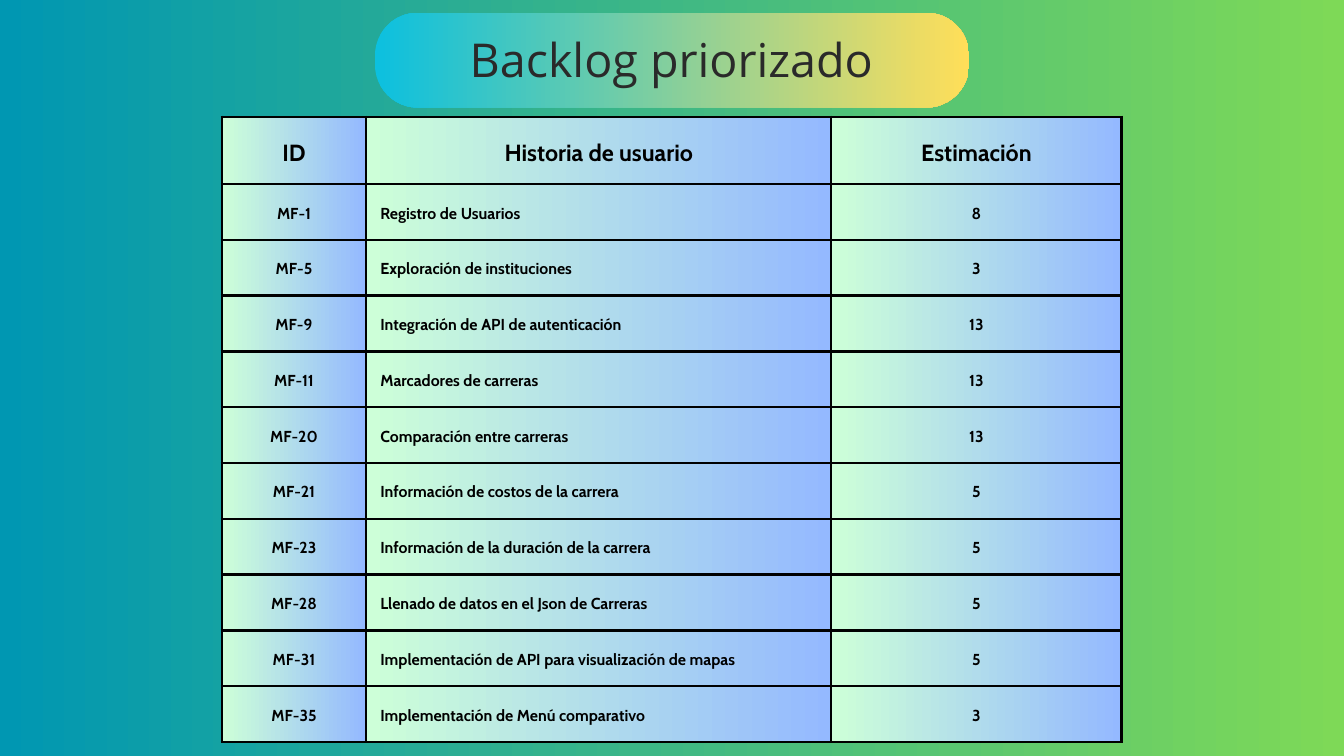
from dataclasses import dataclass

from lxml import etree
from pptx import Presentation
from pptx import util as u
from pptx.dml.color import RGBColor
from pptx.enum import shapes, text
from pptx.oxml import ns


@dataclass(frozen=True)
class Theme:
    background: tuple = ("0097B2", "7ED957")
    banner: tuple = ("0CC0DF", "FFDE59")
    cell: tuple = ("CDFFD8", "94B9FF")
    border: str = "000000"
    title_color: str = "2A2A2A"
    table_color: str = "000000"
    title_font: str = "Open Sans"
    table_font: str = "Cabin"
    title_size: float = 50
    header_size: float = 25
    body_size: float = 17
    border_width: float = 3


theme = Theme()


def fill_gradient(fill, colors):
    """Fill from left to right between two colours."""
    fill.gradient()
    fill.gradient_angle = 0
    for stop, color in zip(fill.gradient_stops, colors):
        stop.color.rgb = RGBColor.from_string(color)


def format_paragraph(paragraph, font, size, color, spacing, alignment, bold):
    paragraph.alignment = alignment
    paragraph.line_spacing = u.Pt(size * spacing)
    for run in paragraph.runs:
        run.font.name = font
        run.font.size = u.Pt(size)
        run.font.bold = bold
        run.font.color.rgb = RGBColor.from_string(color)


presentation = Presentation()
presentation.slide_width = u.Inches(20)
presentation.slide_height = u.Inches(11.25)
slide = presentation.slides.add_slide(presentation.slide_layouts[5])
fill_gradient(slide.background.fill, theme.background)

# Backlog table
backlog = [
    ("ID", "Historia de usuario", "Estimación"),
    ("MF-1", "Registro de Usuarios", "8"),
    ("MF-5", "Exploración de instituciones", "3"),
    ("MF-9", "Integración de API de autenticación", "13"),
    ("MF-11", "Marcadores de carreras", "13"),
    ("MF-20", "Comparación entre carreras", "13"),
    ("MF-21", "Información de costos de la carrera", "5"),
    ("MF-23", "Información de la duración de la carrera", "5"),
    ("MF-28", "Llenado de datos en el Json de Carreras", "5"),
    ("MF-31", "Implementación de API para visualización de mapas", "5"),
    ("MF-35", "Implementación de Menú comparativo", "3"),
]
column_widths = [2.15, 6.92, 4.32]
header_height, row_height = 1, 0.83
table_height = header_height + row_height * (len(backlog) - 1)
table = slide.shapes.add_table(
    len(backlog), len(column_widths), u.Inches(3.3), u.Inches(1.74),
    u.Inches(sum(column_widths)), u.Inches(table_height),
).table
table.first_row = False
table.horz_banding = False
for column, width in zip(table.columns, column_widths):
    column.width = u.Inches(width)

for row_index, values in enumerate(backlog):
    is_header = row_index == 0
    table.rows[row_index].height = u.Inches(header_height if is_header else row_height)
    for column_index, value in enumerate(values):
        cell = table.cell(row_index, column_index)
        cell.text_frame.text = value
        cell.vertical_anchor = text.MSO_ANCHOR.MIDDLE
        cell.margin_left = cell.margin_right = u.Inches(0.21)
        cell.margin_top = cell.margin_bottom = u.Inches(0.21)
        is_story = column_index == 1 and not is_header
        format_paragraph(
            cell.text_frame.paragraphs[0], theme.table_font,
            theme.header_size if is_header else theme.body_size,
            theme.table_color, 1.4,
            text.PP_ALIGN.LEFT if is_story else text.PP_ALIGN.CENTER, True,
        )
        fill_gradient(cell.fill, theme.cell)
        properties = cell._tc.get_or_add_tcPr()
        for position, side in enumerate(("lnL", "lnR", "lnT", "lnB")):
            line = etree.Element(ns.qn(f"a:{side}"), w=str(u.Pt(theme.border_width)))
            solid_fill = etree.SubElement(line, ns.qn("a:solidFill"))
            etree.SubElement(solid_fill, ns.qn("a:srgbClr"), val=theme.border)
            properties.insert(position, line)

# Title on its banner
banner = slide.shapes.add_shape(
    shapes.MSO_SHAPE.ROUNDED_RECTANGLE,
    u.Inches(5.58), u.Inches(0.19), u.Inches(8.84), u.Inches(1.41),
)
banner.adjustments[0] = 0.45
banner.shadow.inherit = False
banner.line.fill.background()
fill_gradient(banner.fill, theme.banner)

title = slide.shapes.title
title.left, title.top = u.Inches(6.25), u.Inches(0.46)
title.width, title.height = u.Inches(7.49), u.Inches(0.84)
frame = title.text_frame
frame.text = "Backlog priorizado"
frame.word_wrap = True
frame.auto_size = text.MSO_AUTO_SIZE.NONE
frame.vertical_anchor = text.MSO_ANCHOR.TOP
frame.margin_left = frame.margin_right = frame.margin_top = frame.margin_bottom = 0
format_paragraph(
    frame.paragraphs[0], theme.title_font, theme.title_size,
    theme.title_color, 1.2, text.PP_ALIGN.CENTER, False,
)
# The placeholder comes first in the drawing order: bring it in front of the banner
banner._element.addnext(title._element)

presentation.save("out.pptx")
